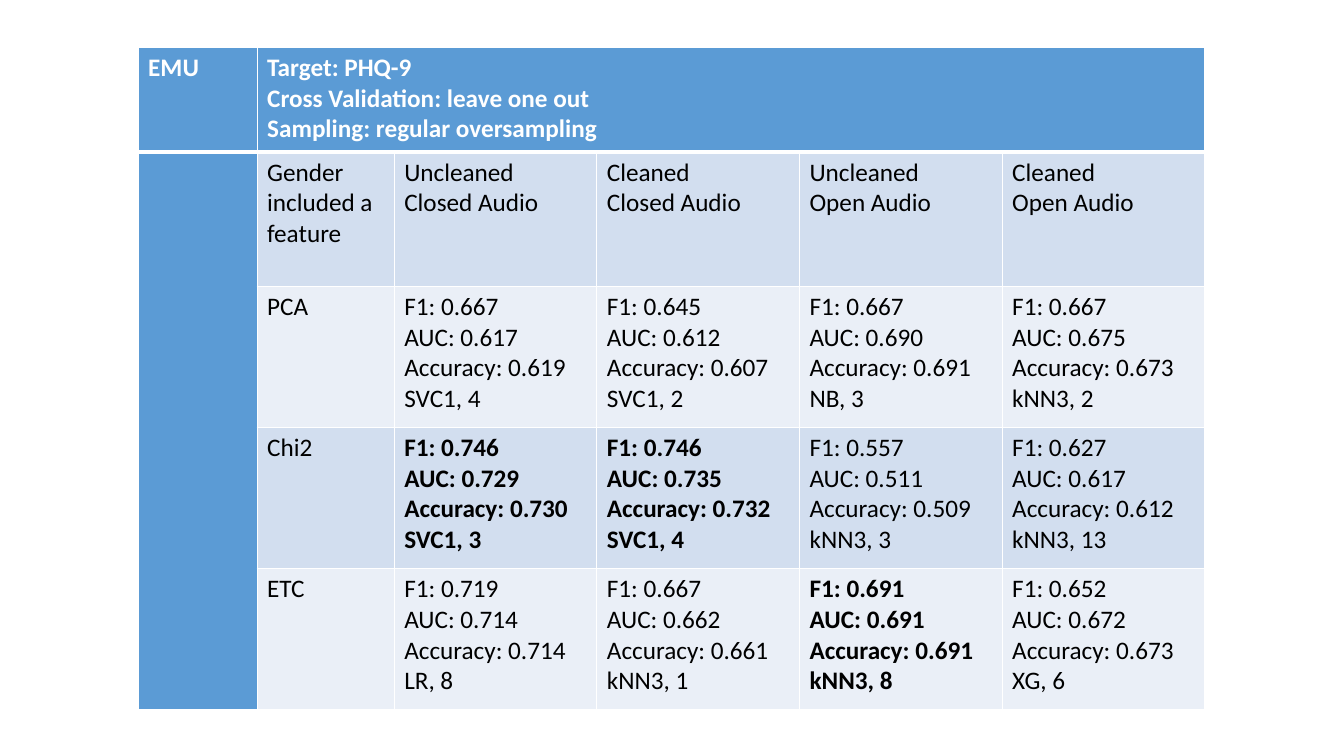
from lxml import etree
from pptx import Presentation
from pptx.dml.color import RGBColor
from pptx.oxml.ns import qn
from pptx.util import Inches, Pt

WHITE = RGBColor(0xFF, 0xFF, 0xFF)
BLACK = RGBColor(0x00, 0x00, 0x00)
BLUE = RGBColor(0x5B, 0x9B, 0xD5)
BAND_DARK = RGBColor(0xD2, 0xDE, 0xEF)
BAND_LIGHT = RGBColor(0xEA, 0xEF, 0xF7)

SLIDE_WIDTH, SLIDE_HEIGHT = 13.33, 7.5
TABLE_LEFT, TABLE_TOP = 1.37, 0.47
COLUMN_WIDTHS = [1.18, 1.36] + [2.01] * 4
ROW_HEIGHTS = [1.04, 1.33] + [1.4] * 3
FONT_NAME, FONT_SIZE = "Calibri", Pt(18)
THIN, THICK = Pt(1), Pt(3)

SETTINGS = ["Target: PHQ-9", "Cross Validation: leave one out",
            "Sampling: regular oversampling"]
AUDIO_TYPES = [("Uncleaned", "Closed Audio"), ("Cleaned", "Closed Audio"),
               ("Uncleaned", "Open Audio"), ("Cleaned", "Open Audio")]
# Each result: F1, AUC, accuracy, model with its feature count
RESULTS = {
    "PCA": [("0.667", "0.617", "0.619", "SVC1, 4"),
            ("0.645", "0.612", "0.607", "SVC1, 2"),
            ("0.667", "0.690", "0.691", "NB, 3"),
            ("0.667", "0.675", "0.673", "kNN3, 2")],
    "Chi2": [("0.746", "0.729", "0.730", "SVC1, 3"),
             ("0.746", "0.735", "0.732", "SVC1, 4"),
             ("0.557", "0.511", "0.509", "kNN3, 3"),
             ("0.627", "0.617", "0.612", "kNN3, 13")],
    "ETC": [("0.719", "0.714", "0.714", "LR, 8"),
            ("0.667", "0.662", "0.661", "kNN3, 1"),
            ("0.691", "0.691", "0.691", "kNN3, 8"),
            ("0.652", "0.672", "0.673", "XG, 6")],
}
BEST_RESULTS = {("Chi2", 0), ("Chi2", 1), ("ETC", 2)}


def add_border(cell, side, width):
    properties = cell._tc.get_or_add_tcPr()
    line = etree.SubElement(properties, qn(f"a:ln{side}"), w=str(width))
    fill = etree.SubElement(line, qn("a:solidFill"))
    etree.SubElement(fill, qn("a:srgbClr"), val=str(WHITE))


def style_cell(cell, row, column):
    """Draw the white grid, with a thick rule under the header, and the fill."""
    add_border(cell, "L", THIN)
    add_border(cell, "R", THIN)
    add_border(cell, "T", THICK if row == 1 else THIN)
    add_border(cell, "B", THICK if row == 0 else THIN)
    cell.fill.solid()
    if row == 0 or column == 0:
        cell.fill.fore_color.rgb = BLUE
    else:
        cell.fill.fore_color.rgb = BAND_DARK if row % 2 else BAND_LIGHT


def write_cell(cell, lines, color=BLACK, bold=False):
    """Write one paragraph per line."""
    text_frame = cell.text_frame
    for index, line in enumerate(lines):
        paragraph = text_frame.add_paragraph() if index else text_frame.paragraphs[0]
        run = paragraph.add_run()
        run.text = line
        run.font.name = FONT_NAME
        run.font.size = FONT_SIZE
        run.font.bold = bold
        run.font.color.rgb = color


def add_grid(slide):
    """Add the styled, merged and still empty table."""
    frame = slide.shapes.add_table(
        len(ROW_HEIGHTS), len(COLUMN_WIDTHS), Inches(TABLE_LEFT), Inches(TABLE_TOP),
        Inches(sum(COLUMN_WIDTHS)), Inches(sum(ROW_HEIGHTS)))
    table = frame.table
    for column, width in zip(table.columns, COLUMN_WIDTHS):
        column.width = Inches(width)
    for row, height in zip(table.rows, ROW_HEIGHTS):
        row.height = Inches(height)
    for row in range(len(ROW_HEIGHTS)):
        for column in range(len(COLUMN_WIDTHS)):
            style_cell(table.cell(row, column), row, column)
    last_row, last_column = len(ROW_HEIGHTS) - 1, len(COLUMN_WIDTHS) - 1
    table.cell(0, 1).merge(table.cell(0, last_column))
    table.cell(1, 0).merge(table.cell(last_row, 0))
    return table


def write_headings(table):
    write_cell(table.cell(0, 0), ["EMU"], WHITE, True)
    write_cell(table.cell(0, 1), SETTINGS, WHITE, True)
    write_cell(table.cell(1, 1), ["Gender included a feature"])
    for column, audio_type in enumerate(AUDIO_TYPES, start=2):
        write_cell(table.cell(1, column), audio_type)


def write_results(table):
    for row, (method, results) in enumerate(RESULTS.items(), start=2):
        write_cell(table.cell(row, 1), [method])
        for index, (f1, auc, accuracy, model) in enumerate(results):
            lines = [f"F1: {f1}", f"AUC: {auc}", f"Accuracy: {accuracy}", model]
            write_cell(table.cell(row, index + 2), lines,
                       bold=(method, index) in BEST_RESULTS)


def main():
    presentation = Presentation()
    presentation.slide_width = Inches(SLIDE_WIDTH)
    presentation.slide_height = Inches(SLIDE_HEIGHT)
    slide = presentation.slides.add_slide(presentation.slide_layouts[6])
    table = add_grid(slide)
    write_headings(table)
    write_results(table)
    presentation.save("out.pptx")


if __name__ == "__main__":
    main()
